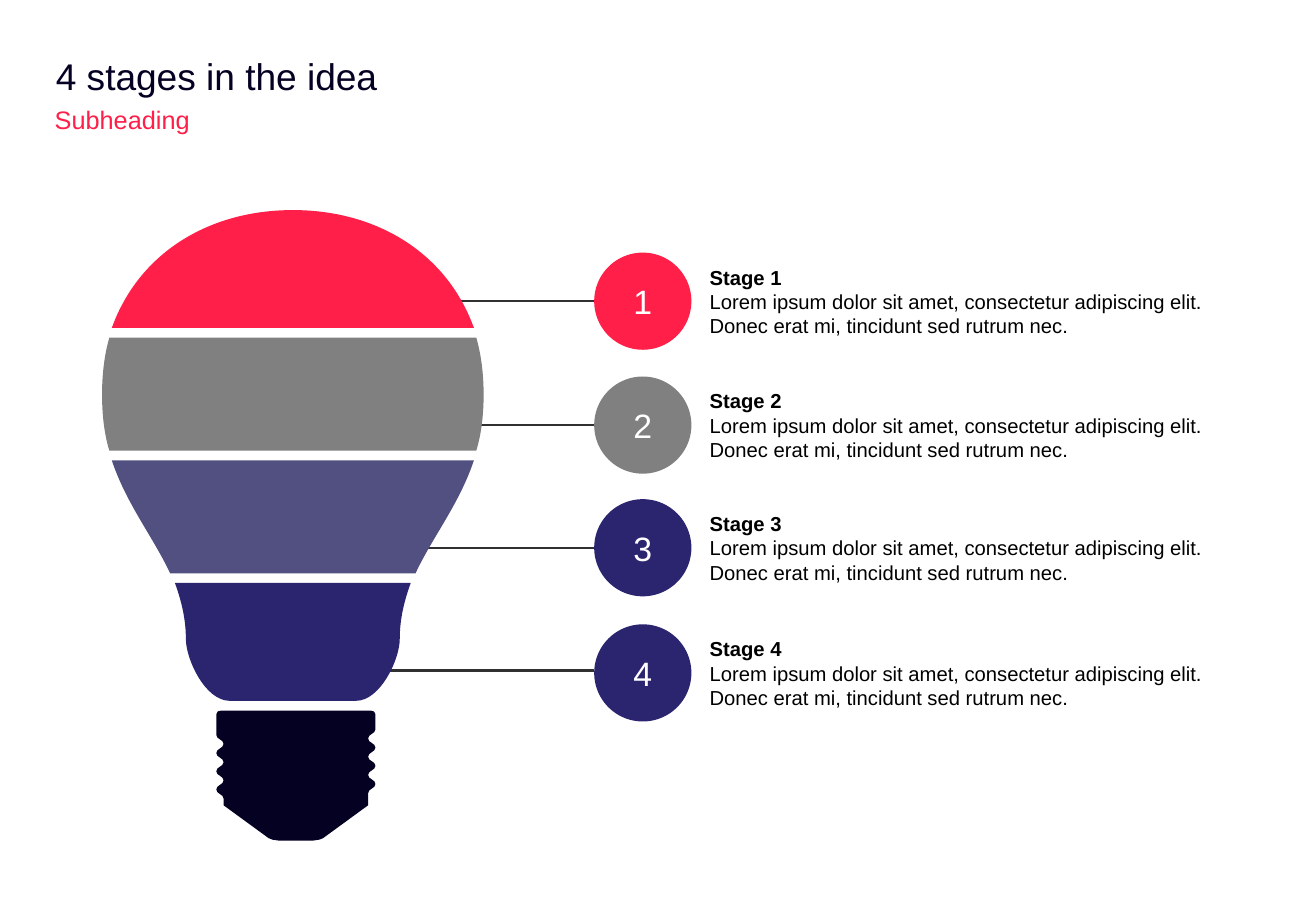
"""Build a slide with a light bulb cut into four numbered stages."""
from lxml import etree
from pptx import Presentation
from pptx import util as u
from pptx.dml.color import RGBColor
from pptx.enum import shapes, text
from pptx.oxml import ns

NAVY, RED, GREY, SLATE, INDIGO = "040123", "FF1F49", "808080", "515081", "2B256F"
FONT = "Arial"
AXIS = 2.41
CIRCLE_LEFT, CIRCLE = 4.89, 0.8
TOOTH = 0.075


def paint(target, color):
    """Give a fill, line or font one solid colour."""
    if hasattr(target, "solid"):
        target.solid()
        target.fore_color.rgb = RGBColor.from_string(color)
    else:
        target.color.rgb = RGBColor.from_string(color)


def write(frame, words, size, color):
    """Set a frame without margins and return its formatted paragraph."""
    frame.word_wrap = True
    frame.auto_size = text.MSO_AUTO_SIZE.SHAPE_TO_FIT_TEXT
    frame.vertical_anchor = text.MSO_ANCHOR.TOP
    frame.margin_left = frame.margin_top = frame.margin_right = frame.margin_bottom = 0
    frame.text = words
    para = frame.paragraphs[0]
    para.alignment = text.PP_ALIGN.LEFT
    para.font.name, para.font.size = FONT, u.Pt(size)
    paint(para.font, color)
    return para


deck = Presentation()
deck.slide_width, deck.slide_height = u.Inches(10.83), u.Inches(7.5)
page = deck.slides.add_slide(deck.slide_layouts[5])

title = page.shapes.title
title.left, title.top, title.width, title.height = map(u.Inches, (0.46, 0.44, 9.92, 0.37))
write(title.text_frame, "4 stages in the idea", 22, NAVY)

for start, middle in ((3.38, 2.48), (3.8, 3.5), (3.51, 4.51), (3.09, 5.52)):
    line = page.shapes.add_connector(shapes.MSO_CONNECTOR.STRAIGHT,
                                     *map(u.Inches, (start, middle, CIRCLE_LEFT, middle)))
    paint(line.line, "303030")
    line.line.width = u.Pt(1.5)
    etree.SubElement(line._element.spPr, ns.qn("a:effectLst"))

threads = []
for first, second, top, rise in ((1.78, 1.84, 6.05, TOOTH), (3.03, 3.09, 6.53, -TOOTH)):
    thread = []
    for tooth in range(7):
        near, far = (first, second) if tooth % 2 == 0 else (second, first)
        y = top + tooth * rise
        thread.append(((near, y + rise / 2), (far, y + rise / 2), (far, y + rise)))
    threads.append(thread)
left_thread, right_thread = threads
screw = [
    ((3.09, 5.88),), ((3.09, 5.86), (3.07, 5.85), (3.05, 5.85)),
    ((1.82, 5.85),), ((1.8, 5.85), (1.78, 5.86), (1.78, 5.88)),
    ((1.78, 6.05),), *left_thread,
    ((1.84, 6.63),), ((2.21, 6.9),), ((2.23, 6.91), (2.26, 6.92), (2.29, 6.92)),
    ((2.58, 6.92),), ((2.61, 6.92), (2.64, 6.91), (2.66, 6.9)),
    ((3.03, 6.63),), ((3.03, 6.53),), *right_thread,
]
parts = [(NAVY, screw)]

right_edges = (
    (RED, [(AXIS, 1.73), (3.11, 1.73), (3.68, 2.09), (3.9, 2.7)]),
    (GREY, [(3.92, 2.78), (3.96, 2.92), (3.98, 3.08), (3.98, 3.25),
            (3.98, 3.42), (3.96, 3.58), (3.92, 3.71)]),
    (INDIGO, [(3.38, 4.8), (3.33, 4.94), (3.29, 5.09), (3.29, 5.26),
              (3.29, 5.43), (3.13, 5.77), (2.93, 5.77)]),
    (SLATE, [(3.9, 3.79), (3.78, 4.15), (3.56, 4.42), (3.42, 4.72)]),
)
for color, edge in right_edges:
    outline = []
    for side in (edge, [(2 * AXIS - x, y) for x, y in reversed(edge)]):
        outline.append((side[0],))
        outline += [tuple(side[i:i + 3]) for i in range(1, len(side), 3)]
    parts.append((color, outline))

for color, outline in parts:
    steps = [[(u.Inches(x), u.Inches(y)) for x, y in step] for step in outline]
    builder = page.shapes.build_freeform(*steps[0][-1])
    builder.add_line_segments([step[-1] for step in steps[1:]], close=True)
    part = builder.convert_to_shape()
    part.shadow.inherit = False
    paint(part.fill, color)
    part.line.fill.background()
    segments = list(part._element.iter(ns.qn("a:lnTo")))
    for segment, step in zip(segments, steps[1:]):
        if len(step) == 3:
            bend = etree.Element(ns.qn("a:cubicBezTo"))
            for x, y in step:
                etree.SubElement(bend, ns.qn("a:pt"), x=str(x - part.left), y=str(y - part.top))
            segment.getparent().replace(segment, bend)

stages = ((2.08, RED), (3.1, GREY), (4.11, INDIGO), (5.14, INDIGO))
for number, (top, color) in enumerate(stages, 1):
    circle = page.shapes.add_shape(shapes.MSO_SHAPE.OVAL, *map(
        u.Inches, (CIRCLE_LEFT, top, CIRCLE, CIRCLE)))
    circle.shadow.inherit = False
    paint(circle.fill, color)
    circle.line.fill.background()
    circle.text_frame.text = str(number)
    para = circle.text_frame.paragraphs[0]
    para.alignment = text.PP_ALIGN.CENTER
    para.font.name, para.font.size = FONT, u.Pt(20)
    paint(para.font, "FFFFFF")

for number, (top, color) in enumerate(stages, 1):
    box = page.shapes.add_textbox(*map(u.Inches, (5.84, top + 0.1, 4.16, 0.61)))
    para = write(box.text_frame, f"Stage {number}", 12, "000000")
    para.runs[0].font.bold = True
    for sentence in ("Lorem ipsum dolor sit amet, consectetur adipiscing elit. ",
                     "Donec erat mi, tincidunt sed rutrum nec."):
        para.add_line_break()
        para.add_run().text = sentence

subheading = page.shapes.add_textbox(*map(u.Inches, (0.45, 0.81, 3.55, 0.28)))
write(subheading.text_frame, "Subheading", 15, RED).line_spacing = 1.2

deck.save("out.pptx")
